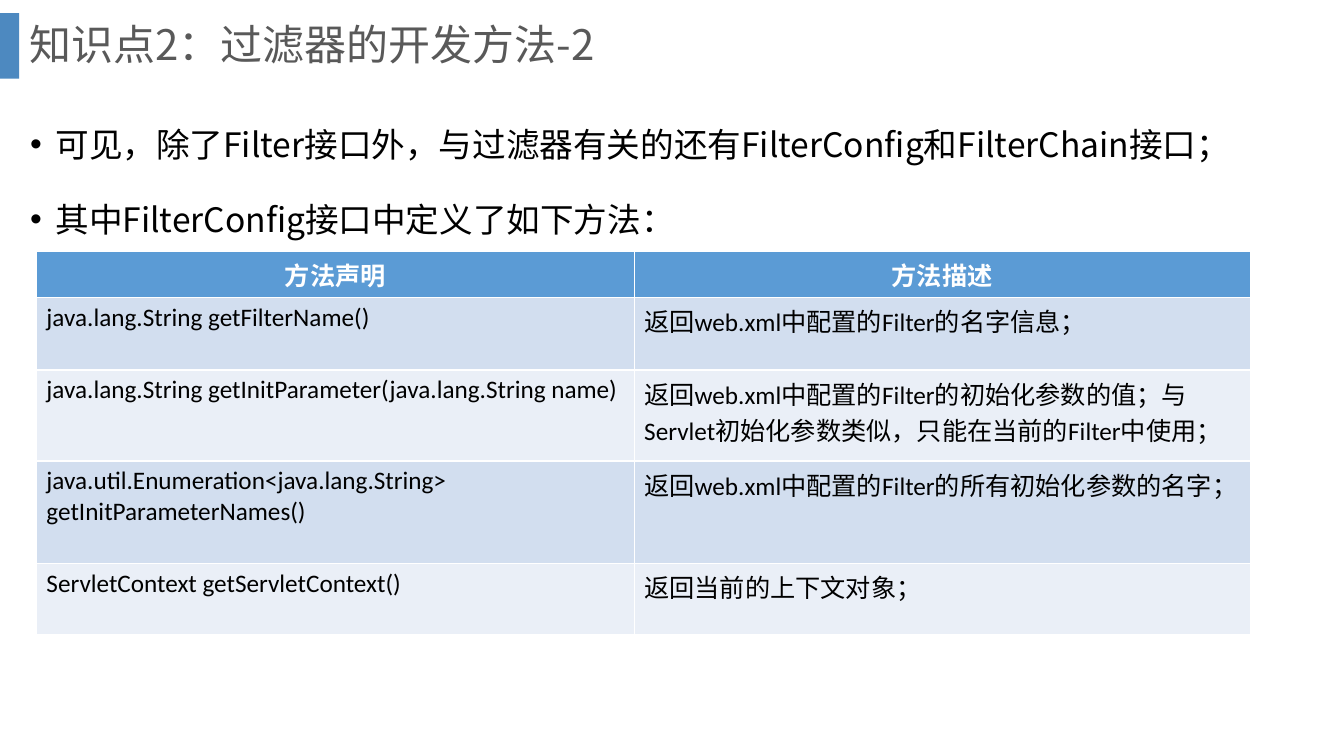
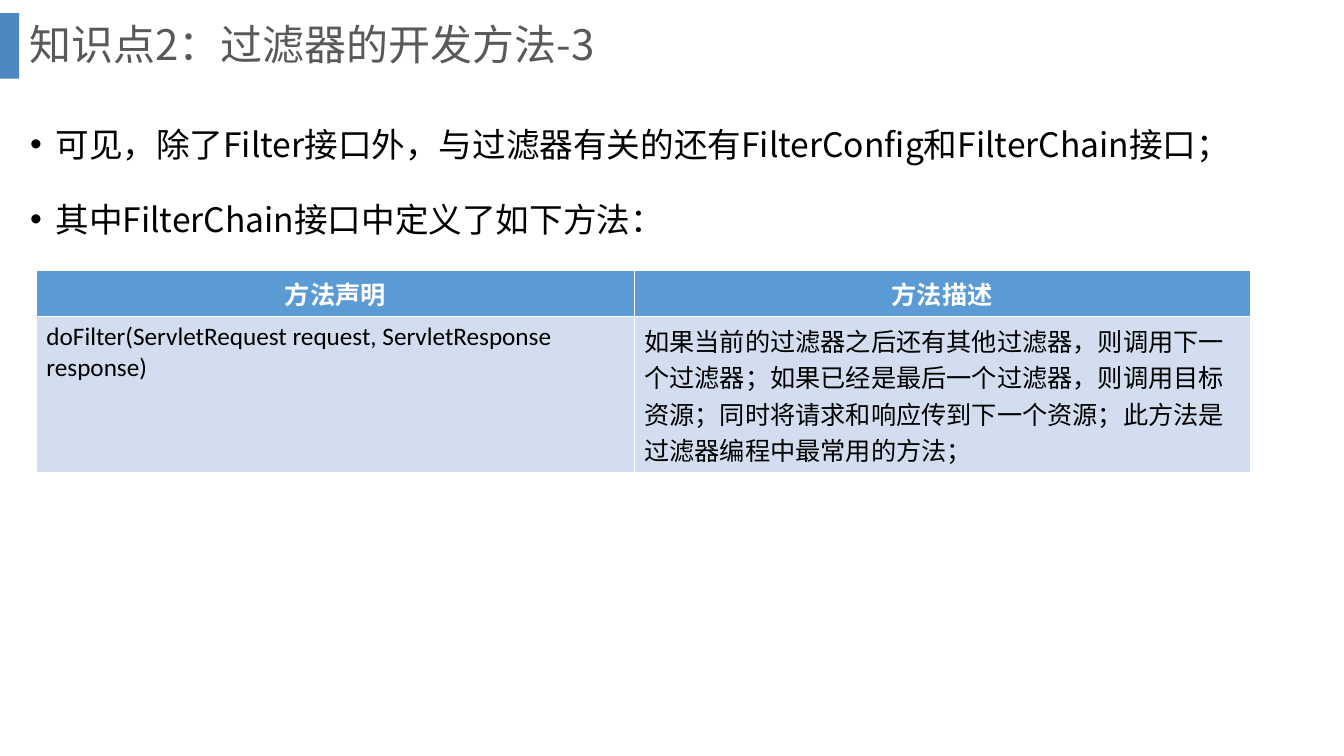
"""Build two slides on the interfaces used when developing servlet filters."""
from lxml.etree import SubElement
from pptx import Presentation
from pptx.dml.color import RGBColor
from pptx.enum.shapes import MSO_SHAPE as Shape
from pptx.enum.text import MSO_ANCHOR as Anchor, MSO_AUTO_SIZE as AutoSize, PP_ALIGN as Align
from pptx.oxml.ns import qn
from pptx.util import Pt

BAND_BLUE = RGBColor(0x2E, 0x75, 0xB6)
HEADER_BLUE = RGBColor(0x5B, 0x9B, 0xD5)
ROW_FILLS = [RGBColor(0xD2, 0xDE, 0xEF), RGBColor(0xEA, 0xEF, 0xF7)]
GRAY = RGBColor(0x59, 0x59, 0x59)
BLACK = RGBColor(0, 0, 0)
WHITE = RGBColor(0xFF, 0xFF, 0xFF)
CJK_FONT = "Noto Sans CJK SC"

TITLE_FONT = {"name": CJK_FONT, "size": Pt(30), "color": GRAY}
BODY_FONT = {"name": CJK_FONT, "size": Pt(24), "color": BLACK}
HEADER_FONT = {"name": "Calibri", "size": Pt(18), "color": WHITE, "bold": True}
CELL_FONT = {**HEADER_FONT, "color": BLACK, "bold": False}
TITLE_PARA = {"alignment": Align.LEFT, "line_spacing": 0.9}
BODY_PARA = {"alignment": Align.LEFT, "line_spacing": 1.5, "space_before": Pt(10)}

TITLE_BOX = (13.7, 0, 911.5, 67)
BODY_BOX = (14.4, 70.6, 928.8, 439.2)
BAND_BOX = (0, 9.4, 13.7, 46.8)
TABLE_LEFT = 26
COLUMN_WIDTHS = [427, 440]
HEADER_HEIGHT = 32.3
HEADERS = ("方法声明", "方法描述")
INTRO = "可见，除了Filter接口外，与过滤器有关的还有FilterConfig和FilterChain接口；"

SLIDES = [
    {
        "title": "知识点2：过滤器的开发方法-2",
        "lead": "其中FilterConfig接口中定义了如下方法：",
        "top": 179.3,
        "heights": [51.7, 65, 73.4, 50.9],
        "methods": [
            ("java.lang.String getFilterName()",
             "返回web.xml中配置的Filter的名字信息；"),
            ("java.lang.String getInitParameter(java.lang.String name)",
             "返回web.xml中配置的Filter的初始化参数的值；与Servlet初始化参数类似，只能在当前的Filter中使用；"),
            ("java.util.Enumeration<java.lang.String> getInitParameterNames()",
             "返回web.xml中配置的Filter的所有初始化参数的名字；"),
            ("ServletContext getServletContext()", "返回当前的上下文对象；"),
        ],
    },
    {
        "title": "知识点2：过滤器的开发方法-3",
        "lead": "其中FilterChain接口中定义了如下方法：",
        "top": 193,
        "heights": [111],
        "methods": [
            ("doFilter(ServletRequest request, ServletResponse response)",
             "如果当前的过滤器之后还有其他过滤器，则调用下一个过滤器；如果已经是最后一个过滤器，"
             "则调用目标资源；同时将请求和响应传到下一个资源；此方法是过滤器编程中最常用的方法；"),
        ],
    },
]


def place(shape, box):
    for name, value in zip(("left", "top", "width", "height"), box):
        setattr(shape, name, Pt(value))


def write(para, text, font, layout):
    span = para.add_run()
    span.text = text
    for name, value in font.items():
        if name == "color":
            span.font.color.rgb = value
        else:
            setattr(span.font, name, value)
    SubElement(span._r.get_or_add_rPr(), qn("a:ea"), typeface=CJK_FONT)
    for name, value in layout.items():
        setattr(para, name, value)


def add_band(deck, page):
    band = page.shapes.add_shape(Shape.RECTANGLE, *map(Pt, BAND_BOX))
    band.shadow.inherit = False
    band.fill.solid()
    band.fill.fore_color.rgb = BAND_BLUE
    band.line.fill.background()
    color = band.element.spPr.find(qn("a:solidFill")).find(qn("a:srgbClr"))
    SubElement(color, qn("a:alpha"), val="85000")
    band.element.nvSpPr.cNvPr.set("id", "20")
    deck.slide_master.shapes.element.insert(2, band.element)


def add_bullets(frame, lines):
    frame.auto_size = AutoSize.NONE
    for index, line in enumerate(lines):
        para = frame.add_paragraph() if index else frame.paragraphs[0]
        write(para, line, BODY_FONT, BODY_PARA)
        properties = para._p.get_or_add_pPr()
        properties.set("marL", str(Pt(18)))
        properties.set("indent", str(-Pt(18)))


def add_method_table(page, content):
    rows = [HEADERS, *content["methods"]]
    heights = [HEADER_HEIGHT, *content["heights"]]
    box = (TABLE_LEFT, content["top"], sum(COLUMN_WIDTHS), sum(heights))
    table = page.shapes.add_table(len(rows), len(HEADERS), *map(Pt, box)).table
    for column, width in zip(table.columns, COLUMN_WIDTHS):
        column.width = Pt(width)
    for index, (texts, height) in enumerate(zip(rows, heights)):
        table.rows[index].height = Pt(height)
        fill = ROW_FILLS[(index - 1) % 2] if index else HEADER_BLUE
        font = CELL_FONT if index else HEADER_FONT
        align = Align.LEFT if index else Align.CENTER
        for cell, text in zip(table.rows[index].cells, texts):
            cell.fill.solid()
            cell.fill.fore_color.rgb = fill
            write(cell.text_frame.paragraphs[0], text, font, {"alignment": align})


def main():
    deck = Presentation()
    deck.slide_width, deck.slide_height = Pt(960), Pt(540)
    layout = deck.slide_layouts[1]
    place(layout.placeholders[0], TITLE_BOX)
    place(layout.placeholders[1], BODY_BOX)
    for index, content in enumerate(SLIDES):
        page = deck.slides.add_slide(layout)
        if index == 0:
            add_band(deck, page)
        title, body = page.placeholders
        title.text_frame.vertical_anchor = Anchor.MIDDLE
        write(title.text_frame.paragraphs[0], content["title"], TITLE_FONT, TITLE_PARA)
        add_bullets(body.text_frame, [INTRO, content["lead"]])
        add_method_table(page, content)
    deck.save("out.pptx")


if __name__ == "__main__":
    main()
